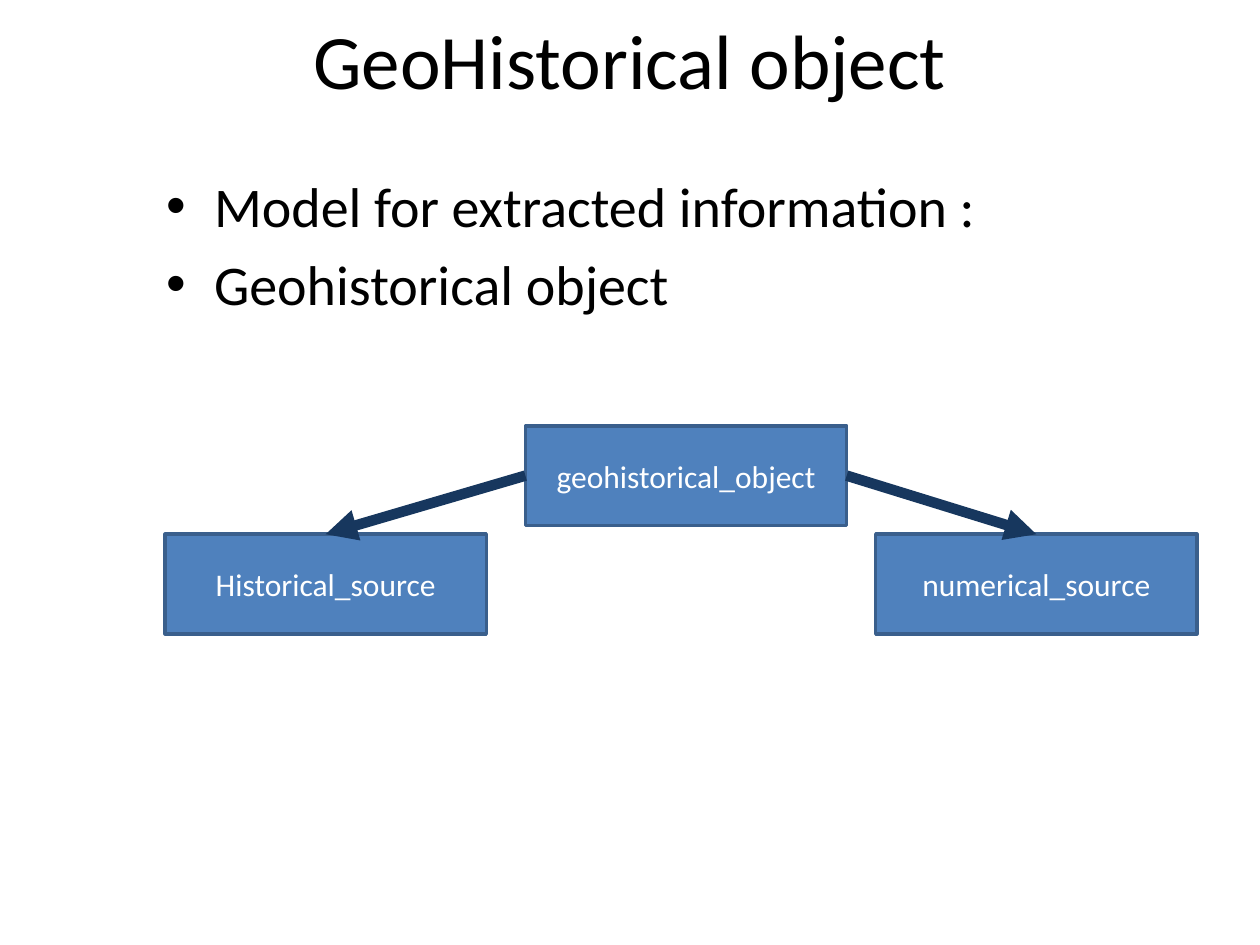
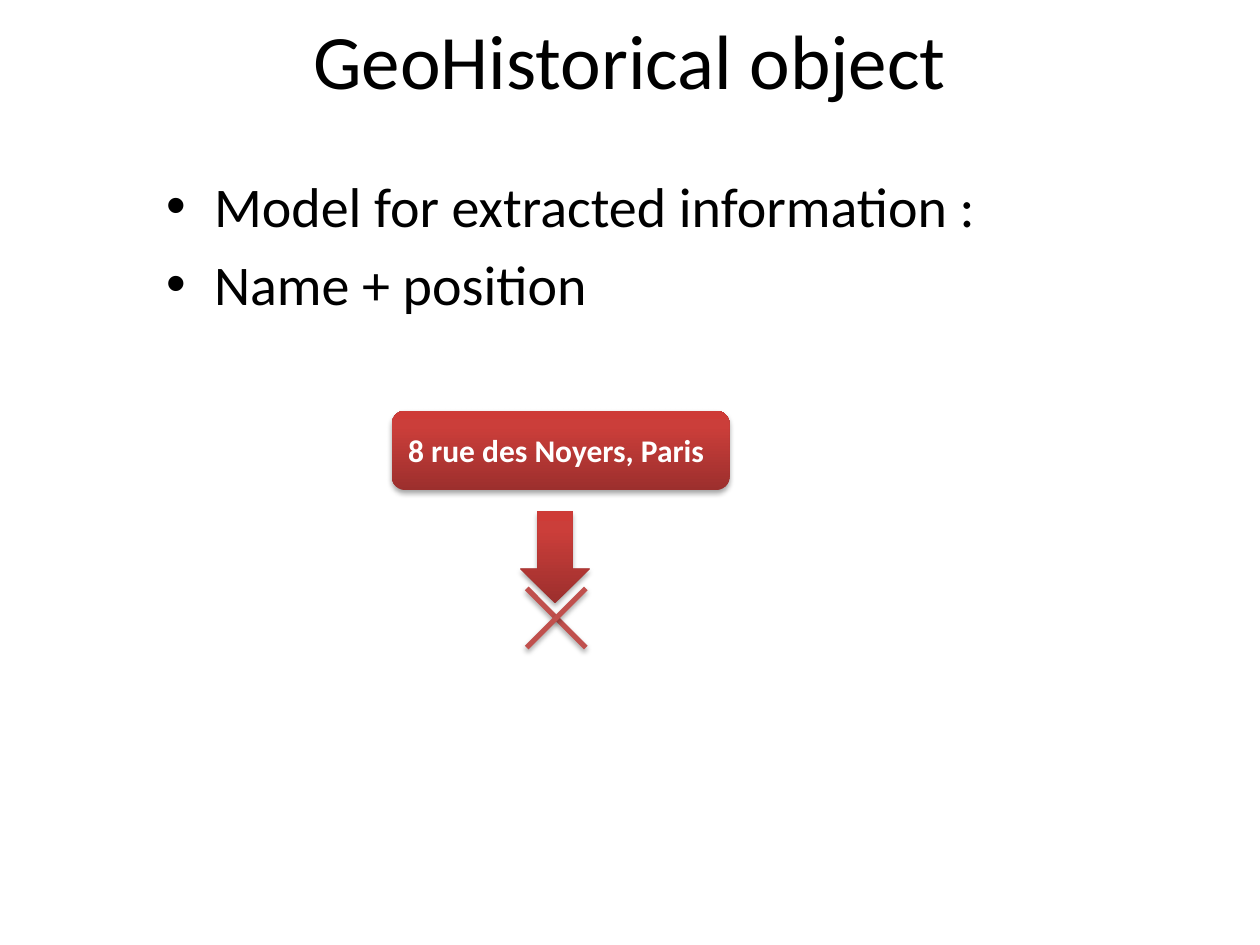
from dataclasses import dataclass

from lxml import etree
from pptx import Presentation, util as u
from pptx.dml.color import RGBColor
from pptx.enum import shapes, text
from pptx.oxml import ns
from copy import deepcopy

TITLE = "GeoHistorical object"
LEAD = "Model for extracted information :"
MODEL_BULLETS = [LEAD, "Geohistorical object"]
ADDRESS_BULLETS = [LEAD, "Name + position"]
ROOT = ("geohistorical_object", 4.17, 3.38)
SOURCES = [
    ("Historical_source", 1.31, 4.24, 1),
    ("numerical_source", 6.95, 4.24, 3),
]
ADDRESS = "8 rue des Noyers, Paris"

SLIDE_SIZE = (10, 7.5)
TITLE_AREA = (0.5, -0.02, 9, 0.97)
BODY_AREA = (1.22, 1.31, 8.28, 5.39)
NODE_SIZE = (2.55, 0.79)
ADDRESS_AREA = (3.11, 3.26, 2.68, 0.63)
ARROW_AREA = (4.13, 4.06, 0.55, 0.73)
CROSS_AREA = (4.18, 4.67, 0.47, 0.47)


@dataclass(frozen=True)
class Theme:
    font: str = "Calibri"
    title_size: int = 44
    body_size: int = 32
    label_size: int = 18
    ink: str = "000000"
    paper: str = "FFFFFF"
    node: str = "4F81BD"
    node_edge: str = "3A5F8C"
    link: str = "17375E"
    cross: str = "C0504D"
    red_stops: tuple = ((0, "9C2F2D"), (0.8, "CB3E3A"), (1, "CE3B37"))


THEME = Theme()


def rgb(value):
    return RGBColor.from_string(value)


def inches(values):
    return [u.Inches(value) for value in values]


def style(para, size, color, bold=False):
    para.font.name = THEME.font
    para.font.size = u.Pt(size)
    para.font.color.rgb = rgb(color)
    para.font.bold = bold


def add_child(parent, tag, **attributes):
    child = etree.SubElement(parent, ns.qn(tag))
    for name, value in attributes.items():
        child.set(name, str(value))
    return child


def add_shadow(effects):
    shadow = add_child(effects, "a:outerShdw", blurRad=u.Pt(3.1), dist=u.Pt(1.8),
                       dir=90 * 60000, rotWithShape=0)
    color = add_child(shadow, "a:srgbClr", val=THEME.ink)
    add_child(color, "a:alpha", val=35000)


def add_page(deck, bullets):
    page = deck.slides.add_slide(deck.slide_layouts[5])
    page.background.fill.solid()
    page.background.fill.fore_color.rgb = rgb(THEME.paper)
    title = page.shapes.title
    title.left, title.top, title.width, title.height = inches(TITLE_AREA)
    title.text_frame.text = TITLE
    title.text_frame.vertical_anchor = text.MSO_ANCHOR.MIDDLE
    heading = title.text_frame.paragraphs[0]
    heading.alignment = text.PP_ALIGN.CENTER
    style(heading, THEME.title_size, THEME.ink)

    frame = page.shapes.add_textbox(*inches(BODY_AREA)).text_frame
    frame.word_wrap = True
    frame.text = "\n".join(bullets)
    for index, para in enumerate(frame.paragraphs):
        properties = para._p.get_or_add_pPr()
        properties.set("marL", str(u.Inches(0.38)))
        properties.set("indent", str(u.Inches(-0.38)))
        if index:
            para.space_before = u.Pt(0.2 * THEME.body_size)
        add_child(properties, "a:buFont", typeface="Arial")
        add_child(properties, "a:buChar", char="•")
        style(para, THEME.body_size, THEME.ink)
    return page


def add_label(box, label, alignment, bold=False):
    frame = box.text_frame
    frame.word_wrap = True
    frame.vertical_anchor = text.MSO_ANCHOR.MIDDLE
    frame.text = label
    para = frame.paragraphs[0]
    para.alignment = alignment
    style(para, THEME.label_size, THEME.paper, bold)


def add_node(page, label, left, top):
    box = page.shapes.add_shape(shapes.MSO_SHAPE.RECTANGLE,
                                *inches((left, top, *NODE_SIZE)))
    box.shadow.inherit = False
    box.fill.solid()
    box.fill.fore_color.rgb = rgb(THEME.node)
    box.line.color.rgb = rgb(THEME.node_edge)
    box.line.width = u.Pt(2)
    add_label(box, label, text.PP_ALIGN.CENTER)
    return box


def add_line(page, ends, color, width):
    line = page.shapes.add_connector(shapes.MSO_CONNECTOR.STRAIGHT, *inches(ends))
    line.line.color.rgb = rgb(color)
    line.line.width = u.Pt(width)
    effects = add_child(line._element.spPr, "a:effectLst")
    return line, effects


def add_red_shape(page, kind, area):
    shape = page.shapes.add_shape(kind, *inches(area))
    shape.fill.gradient()
    shape.fill.gradient_angle = 90
    stop_list = shape._element.spPr.find(".//" + ns.qn("a:gsLst"))
    stop_list.append(deepcopy(stop_list[-1]))
    for stop, (position, color) in zip(shape.fill.gradient_stops, THEME.red_stops):
        stop.position = position
        stop.color.rgb = rgb(color)
    shape.line.fill.background()
    shape.shadow.inherit = False
    add_shadow(shape._element.spPr.find(ns.qn("a:effectLst")))
    return shape


def add_model_page(deck):
    page = add_page(deck, MODEL_BULLETS)
    root = add_node(page, *ROOT)
    for label, left, top, root_side in SOURCES:
        source = add_node(page, label, left, top)
        link, _ = add_line(page, (0, 0, 0, 0), THEME.link, 6)
        link.begin_connect(root, root_side)
        link.end_connect(source, 0)
        add_child(link.line._get_or_add_ln(), "a:tailEnd", type="triangle")


def add_address_page(deck):
    page = add_page(deck, ADDRESS_BULLETS)
    add_red_shape(page, shapes.MSO_SHAPE.DOWN_ARROW, ARROW_AREA)
    box = add_red_shape(page, shapes.MSO_SHAPE.ROUNDED_RECTANGLE, ADDRESS_AREA)
    add_label(box, ADDRESS, text.PP_ALIGN.LEFT, bold=True)
    left, top, width, height = CROSS_AREA
    right, bottom = left + width, top + height
    for start, end in ((left, right), (right, left)):
        _, effects = add_line(page, (start, top, end, bottom), THEME.cross, 3)
        add_shadow(effects)


def main():
    deck = Presentation()
    deck.slide_width, deck.slide_height = inches(SLIDE_SIZE)
    add_model_page(deck)
    add_address_page(deck)
    deck.save("out.pptx")


if __name__ == "__main__":
    main()
